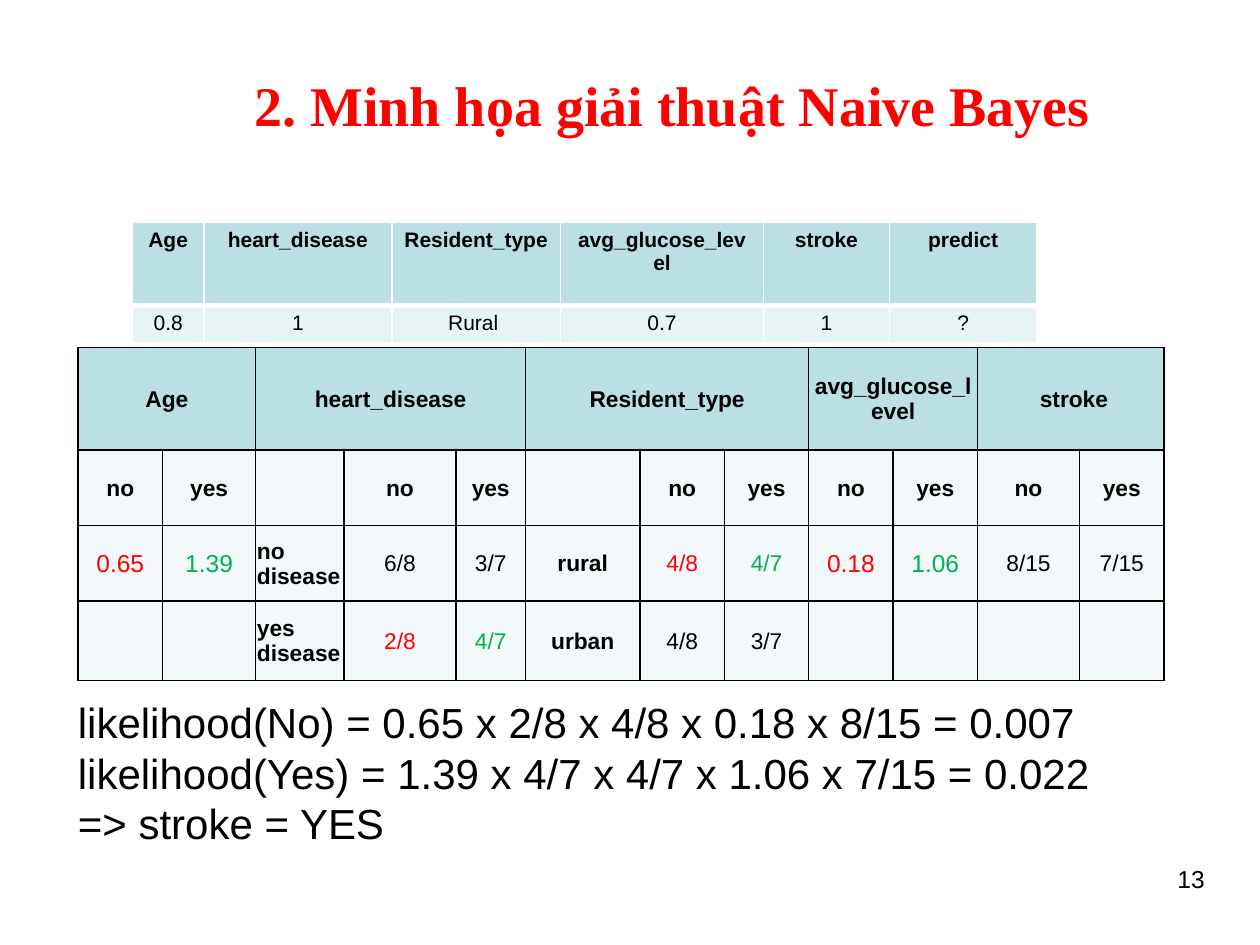
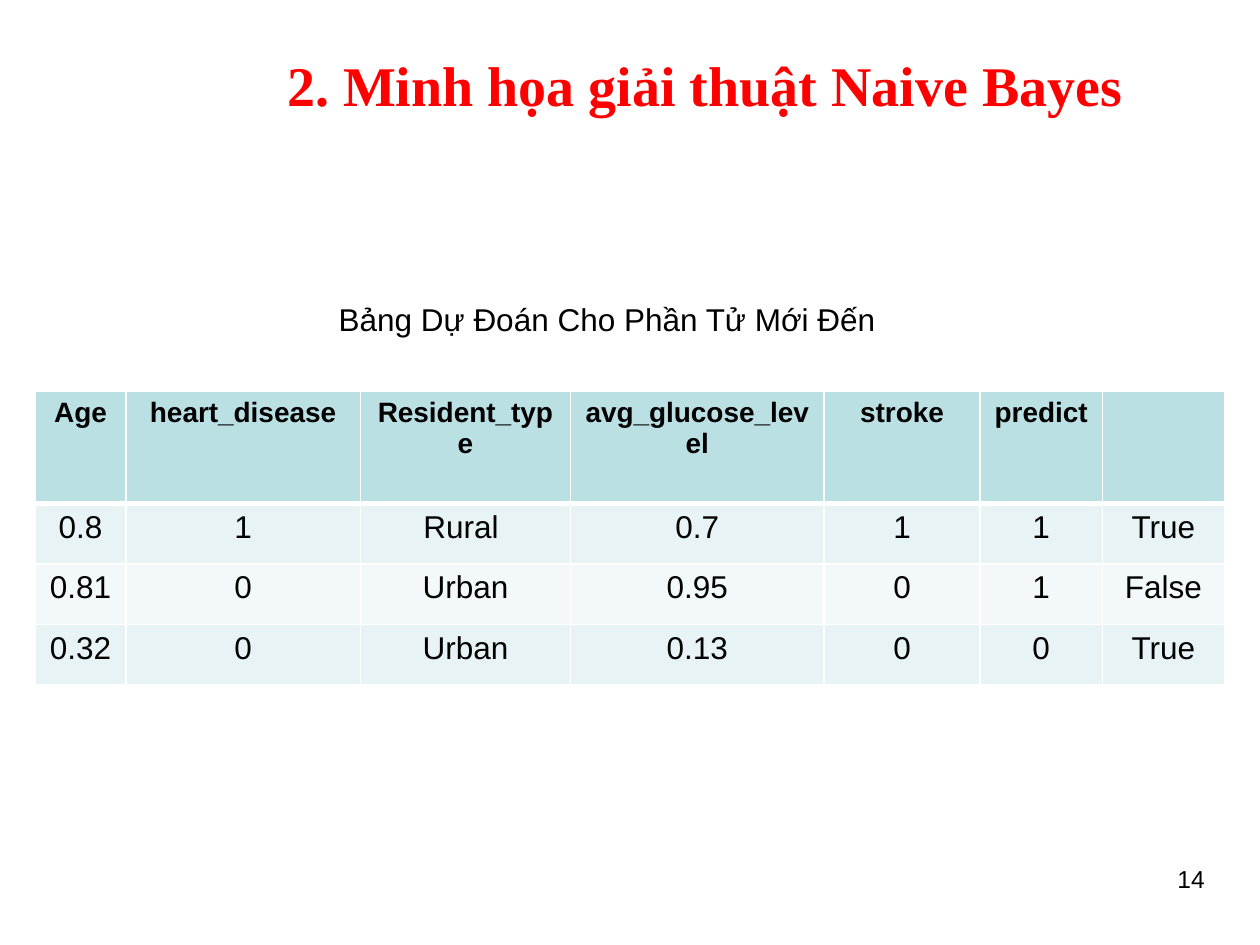
from lxml.etree import SubElement
from pptx import Presentation
from pptx.dml.color import RGBColor
from pptx.enum.text import MSO_ANCHOR, PP_ALIGN
from pptx.oxml.ns import qn
from pptx.util import Emu, Inches, Pt

WIDTH, HEIGHT = Inches(10), Inches(7.5)
BLACK, WHITE, RED, GREEN = "000000", "FFFFFF", "FF0000", "00B050"
HEADER_FILL, DARK_STRIPE, LIGHT_STRIPE = "BBE0E3", "E7F3F4", "F3F9FA"
BODY_FONT, TITLE_FONT = "Arial", "Times New Roman"
TITLE = "2. Minh họa giải thuật Naive Bayes"

ATTRIBUTES = ["Age", "heart_disease", "Resident_type", "avg_glucose_level", "stroke", "predict"]
NEW_PATIENT = ["0.8", "1", "Rural ", "0.7", "1"]
PREDICTIONS = [
    NEW_PATIENT + ["1", "True"],
    ["0.81", "0", "Urban", "0.95", "0", "1", "False"],
    ["0.32", "0", "Urban", "0.13", "0", "0", "True"],
]
# Attribute and the number of columns it covers
LIKELIHOOD_GROUPS = [("Age", 2), ("heart_disease", 3), ("Resident_type", 3),
                     ("avg_glucose_level", 2), (" stroke", 2)]
LIKELIHOODS = [
    ["no", "yes", "", "no", "yes", "", "no", "yes", "no", "yes", "no", "yes"],
    ["0.65", "1.39", "no disease", "6/8", "3/7", "rural", "4/8", "4/7",
     "0.18", "1.06", "8/15", "7/15"],
    ["", "", "yes disease", "2/8", "4/7", "urban", "4/8", "3/7", "", "", "", ""],
]
# (row, column) of the likelihoods that apply to the new patient
CHOSEN = {(2, 0), (2, 1), (2, 6), (2, 7), (2, 8), (2, 9), (3, 3), (3, 4)}
CONCLUSION = [
    "likelihood(No) = 0.65 x 2/8 x 4/8 x 0.18 x 8/15 = 0.007",
    "likelihood(Yes) = 1.39 x 4/7 x 4/7 x 1.06 x 7/15 = 0.022",
    "=> stroke = YES",
]


def rgb(hex_colour):
    return RGBColor.from_string(hex_colour)


def across(percent):
    return Emu(round(WIDTH * percent / 100))


def down(percent):
    return Emu(round(HEIGHT * percent / 100))


def write(frame, lines, size, colour=BLACK, bold=False, align=PP_ALIGN.LEFT, font=BODY_FONT):
    frame.text = "\n".join(lines)
    for paragraph in frame.paragraphs:
        paragraph.alignment = align
        for run in paragraph.runs:
            run.font.name, run.font.size, run.font.bold = font, Pt(size), bold
            run.font.color.rgb = rgb(colour)


def add_text(slide, area, lines, size, anchor=MSO_ANCHOR.TOP, wrap=True, **style):
    """Area is left, top, width and height in percent of the slide."""
    left, top, width, height = area
    frame = slide.shapes.add_textbox(across(left), down(top), across(width), down(height)).text_frame
    frame.word_wrap = wrap
    frame.vertical_anchor = anchor
    write(frame, lines, size, **style)


def add_titled_slide(deck, title_area, number):
    slide = deck.slides.add_slide(deck.slide_layouts[6])
    add_text(slide, title_area, [TITLE], 32, MSO_ANCHOR.MIDDLE,
             colour=RED, bold=True, font=TITLE_FONT)
    add_text(slide, (73.3, 90.8, 23.3, 8.13), [str(number)], 14, align=PP_ALIGN.RIGHT)
    return slide


def draw_borders(cell, colour, top=1, bottom=1):
    properties = cell._tc.get_or_add_tcPr()
    for side, points in (("L", 1), ("R", 1), ("T", top), ("B", bottom)):
        line = SubElement(properties, qn(f"a:ln{side}"), w=str(Pt(points)))
        SubElement(SubElement(line, qn("a:solidFill")), qn("a:srgbClr"), val=colour)


def paint(cell, colour):
    cell.fill.solid()
    cell.fill.fore_color.rgb = rgb(colour)


def add_grid(slide, left, top, widths, heights):
    """Add an unstyled table; all lengths are in percent of the slide."""
    table = slide.shapes.add_table(len(heights), len(widths), across(left), down(top),
                                   across(sum(widths)), down(sum(heights))).table
    table.first_row = table.horz_banding = False
    for column, width in zip(table.columns, widths):
        column.width = across(width)
    for row, height in zip(table.rows, heights):
        row.height = down(height)
    return table


def add_patient_table(slide, left, top, widths, heights, header, patients, header_size, size):
    table = add_grid(slide, left, top, widths, heights)
    for r, values in enumerate([header] + patients):
        for c, value in enumerate(values):
            cell = table.cell(r, c)
            draw_borders(cell, WHITE, top=3 if r == 1 else 1, bottom=3 if r == 0 else 1)
            stripe = DARK_STRIPE if r % 2 else LIGHT_STRIPE
            paint(cell, stripe if r else HEADER_FILL)
            write(cell.text_frame, [value], size if r else header_size,
                  bold=r == 0, align=PP_ALIGN.CENTER)


def write_likelihood(cell, value, r, c):
    colour = BLACK
    if (r, c) in CHOSEN:
        colour = RED if LIKELIHOODS[0][c] == "no" else GREEN
    write(cell.text_frame, [value], 14 if "." in value else 13, colour,
          bold=not value[:1].isdigit(),
          align=PP_ALIGN.LEFT if "disease" in value and r > 1 else PP_ALIGN.CENTER)


def add_likelihood_table(slide):
    widths = [6.7, 7.4, 7, 8.9, 5.5, 9.1, 6.7, 6.7, 6.7, 6.7, 8.1, 6.7]
    table = add_grid(slide, 6.2, 36.8, widths, [10.8, 8, 8, 8.4])
    header = []
    for attribute, span in LIKELIHOOD_GROUPS:
        start = len(header)
        header += [attribute] + [""] * (span - 1)
        table.cell(0, start).merge(table.cell(0, start + span - 1))
    for r, values in enumerate([header] + LIKELIHOODS):
        for c, value in enumerate(values):
            cell = table.cell(r, c)
            cell.margin_left = cell.margin_right = cell.margin_top = Inches(0.01)
            cell.margin_bottom = 0
            cell.vertical_anchor = MSO_ANCHOR.MIDDLE
            draw_borders(cell, BLACK)
            paint(cell, LIGHT_STRIPE if r else HEADER_FILL)
            if value:
                write_likelihood(cell, value, r, c)


def add_likelihood_slide(deck):
    slide = add_titled_slide(deck, (19.2, 4.13, 77.5, 13.73), 13)
    add_patient_table(slide, 10.5, 23.5, [5.7, 14.9, 13.4, 16.1, 10, 11.7], [8.8, 3.87],
                      ATTRIBUTES, [NEW_PATIENT + ["?"]], 12, 12)
    add_text(slide, (5.2, 73.07, 87, 17.47), CONCLUSION, 24)
    add_likelihood_table(slide)


def add_prediction_slide(deck):
    slide = add_titled_slide(deck, (21.8, 4.67, 72, 8.53), 14)
    add_patient_table(slide, 2.8, 41.4, [7.2, 18.6, 16.7, 20.1, 12.4, 9.7, 9.7],
                      [11.9] + [6.4] * 3, ATTRIBUTES + [""], PREDICTIONS, 16, 18)
    add_text(slide, (25.9, 31.07, 44.6, 5.33), ["Bảng Dự Đoán Cho Phần Tử Mới Đến"], 18, wrap=False)


def main():
    deck = Presentation()
    deck.slide_width, deck.slide_height = WIDTH, HEIGHT
    add_likelihood_slide(deck)
    add_prediction_slide(deck)
    deck.save("out.pptx")


if __name__ == "__main__":
    main()
